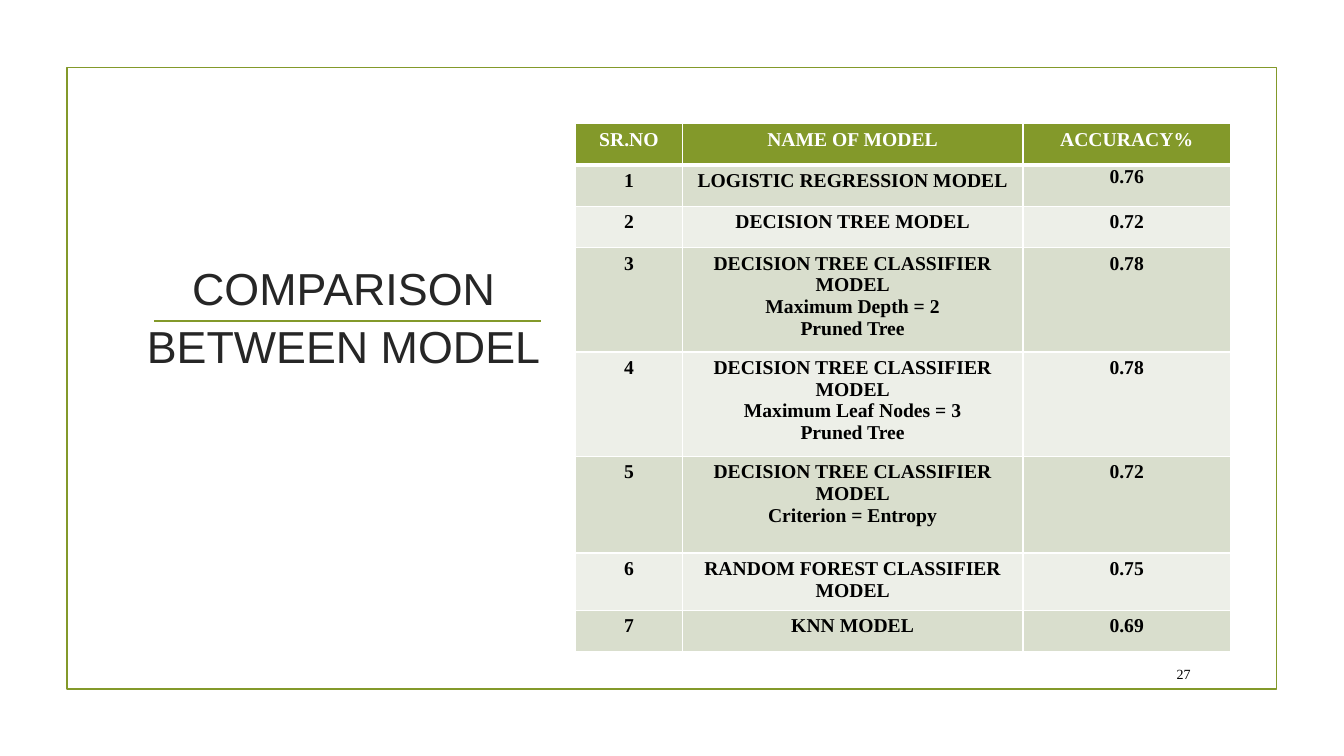
from dataclasses import dataclass

from lxml.etree import SubElement
from pptx import Presentation
from pptx.dml.color import RGBColor
from pptx.enum.shapes import MSO_CONNECTOR, MSO_SHAPE
from pptx.enum.text import MSO_ANCHOR, PP_ALIGN
from pptx.oxml.ns import qn
from pptx.util import Pt

# Content
TITLE = "COMPARISON BETWEEN MODEL"
PAGE_NUMBER = "27"
HEADER = ("SR.NO", "NAME OF MODEL", "ACCURACY%")
CLASSIFIER = "DECISION TREE CLASSIFIER MODEL"
MODELS = [  # lines of the name, accuracy, row height in text lines
    (["LOGISTIC REGRESSION MODEL"], "0.76", 1),
    (["DECISION TREE MODEL"], "0.72", 1),
    ([CLASSIFIER, "Maximum Depth = 2", "Pruned Tree"], "0.78", 4),
    ([CLASSIFIER, "Maximum Leaf Nodes = 3", "Pruned Tree"], "0.78", 4),
    ([CLASSIFIER, "Criterion = Entropy"], "0.72", 4),
    (["RANDOM FOREST CLASSIFIER MODEL"], "0.75", 2),
    (["KNN MODEL"], "0.69", 1),
]


@dataclass(frozen=True)
class Theme:
    green: str = "83992A"
    bands: tuple = ("D9DECD", "EDEFE8")
    white: str = "FFFFFF"
    black: str = "000000"
    title_ink: str = "262626"
    title_font: str = "Arial"
    body_font: str = "Times New Roman"
    title_size: float = 32
    cell_size: float = 14
    number_size: float = 10
    rule: float = 1.25


THEME = Theme()
TABLE_LEFT, TABLE_TOP = 411.1, 88.5
COLUMNS = (76.3, 243.3, 148.3)
MIN_ROW, TEXT_LINE, ROW_PADDING = 29.5, 15.5, 7.2


def row_height(lines):
    return max(MIN_ROW, lines * TEXT_LINE + ROW_PADDING)


def write(frame, lines, font, size, color, align, bold=False):
    frame.word_wrap = True
    for index, line in enumerate(lines):
        para = frame.paragraphs[0] if index == 0 else frame.add_paragraph()
        para.alignment = align
        span = para.add_run()
        span.text = line
        span.font.name = font
        span.font.size = Pt(size)
        span.font.bold = bold
        span.font.color.rgb = RGBColor.from_string(color)


def add_text(page, area, anchor, *style):
    box = page.shapes.add_textbox(*map(Pt, area))
    box.text_frame.vertical_anchor = anchor
    write(box.text_frame, *style)
    return box


def border_cell(cell, bottom):
    properties = cell._tc.get_or_add_tcPr()
    widths = {"a:lnL": 1, "a:lnR": 1, "a:lnT": 1, "a:lnB": bottom}
    for index, (tag, width) in enumerate(widths.items()):
        edge = properties.makeelement(qn(tag), {"w": str(Pt(width))})
        fill = SubElement(edge, qn("a:solidFill"))
        SubElement(fill, qn("a:srgbClr"), val=THEME.white)
        properties.insert(index, edge)


def add_frame(page):
    frame = page.shapes.add_shape(
        MSO_SHAPE.RECTANGLE, Pt(47.8), Pt(48.2), Pt(864), Pt(444))
    frame.shadow.inherit = False
    frame.fill.background()
    rule = page.shapes.add_connector(
        MSO_CONNECTOR.STRAIGHT, Pt(110.2), Pt(229.4), Pt(386.6), Pt(229.4))
    SubElement(rule._element.spPr, qn("a:effectLst"))
    for shape in (frame, rule):
        shape.line.color.rgb = RGBColor.from_string(THEME.green)
        shape.line.width = Pt(THEME.rule)


def add_models(page):
    rows = [[[name] for name in HEADER]]
    rows += [[[str(number)], names, [accuracy]]
             for number, (names, accuracy, _) in enumerate(MODELS, 1)]
    heights = [MIN_ROW] + [row_height(lines) for _, _, lines in MODELS]
    table = page.shapes.add_table(
        len(rows), len(COLUMNS), Pt(TABLE_LEFT), Pt(TABLE_TOP),
        Pt(sum(COLUMNS)), Pt(sum(heights))).table
    for column, width in zip(table.columns, COLUMNS):
        column.width = Pt(width)
    for r, (row, height) in enumerate(zip(rows, heights)):
        table.rows[r].height = Pt(height)
        fill = THEME.bands[(r - 1) % 2] if r else THEME.green
        ink = THEME.black if r else THEME.white
        for c, lines in enumerate(row):
            cell = table.cell(r, c)
            cell.fill.solid()
            cell.fill.fore_color.rgb = RGBColor.from_string(fill)
            border_cell(cell, 1 if r else 3)
            write(cell.text_frame, lines, THEME.body_font, THEME.cell_size,
                  ink, PP_ALIGN.CENTER, True)
    # The first accuracy sits close to the top of its cell
    first = table.cell(1, 2)
    first.margin_left = first.margin_right = first.margin_top = Pt(0.7)
    first.margin_bottom = Pt(0)


def main():
    deck = Presentation()
    deck.slide_width, deck.slide_height = Pt(960), Pt(540)
    page = deck.slides.add_slide(deck.slide_layouts[6])

    # Frame and rule behind the title
    add_frame(page)

    # Title
    title = add_text(page, (97.2, 140.4, 296.6, 128.9), MSO_ANCHOR.BOTTOM,
                     [TITLE], THEME.title_font, THEME.title_size,
                     THEME.title_ink, PP_ALIGN.CENTER)
    title.text_frame.paragraphs[0].line_spacing = 1.08

    # Table and page number
    add_models(page)
    add_text(page, (815, 470.2, 42.5, 22.3), MSO_ANCHOR.MIDDLE,
             [PAGE_NUMBER], THEME.body_font, THEME.number_size,
             THEME.black, PP_ALIGN.RIGHT)
    deck.save("out.pptx")


if __name__ == "__main__":
    main()
